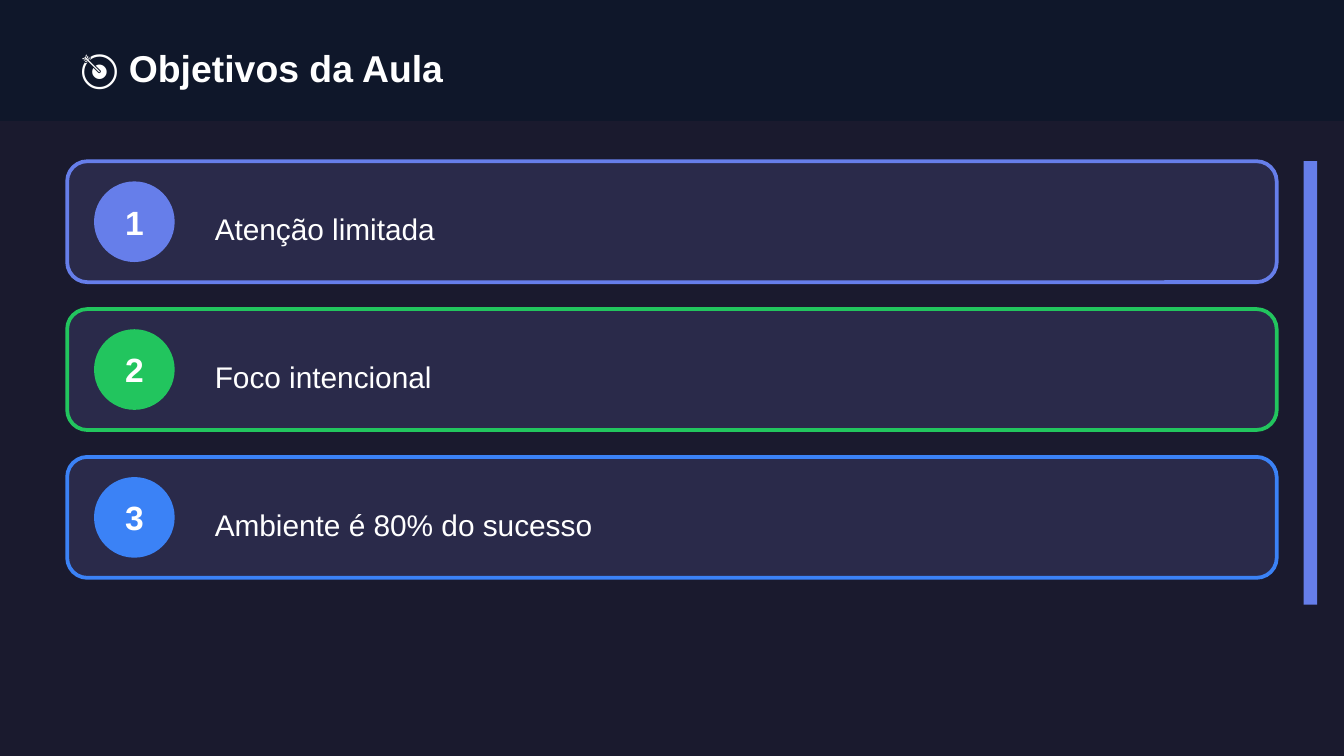
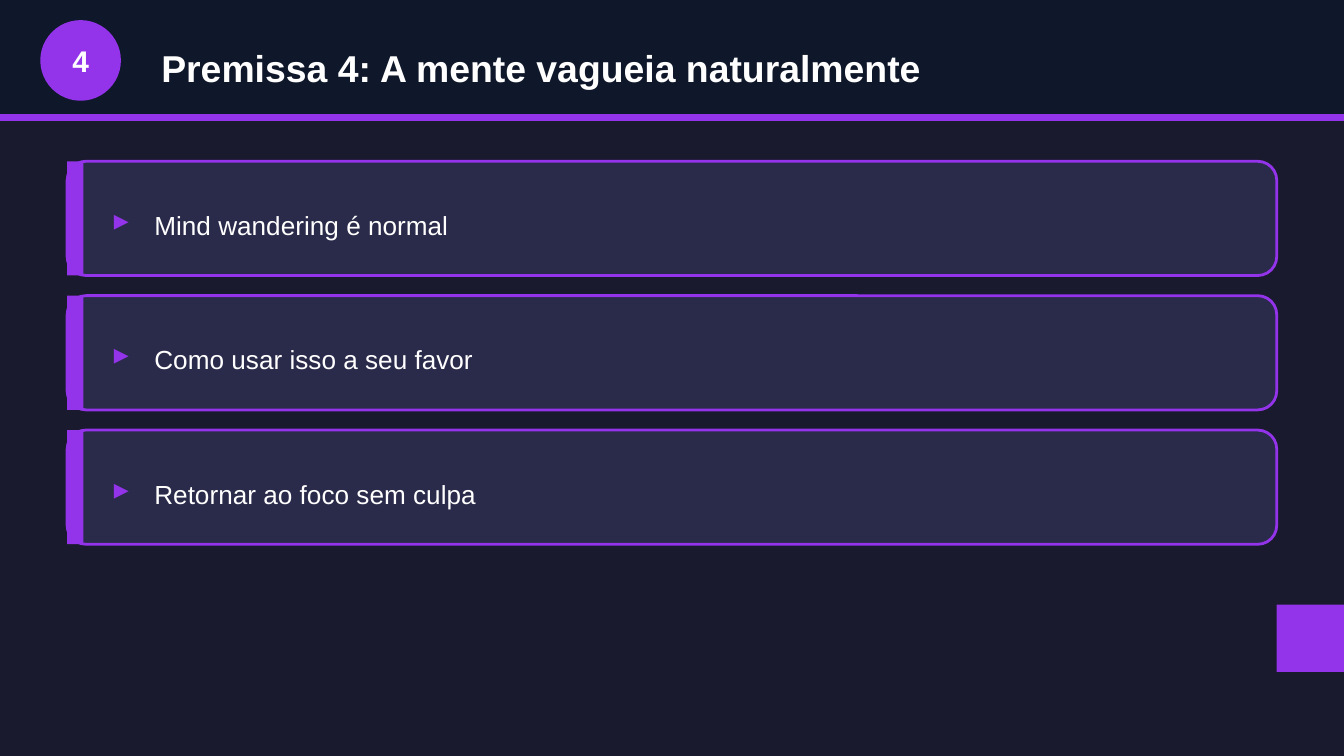
"""Builds two dark lesson slides: the class objectives and one premise."""
import pptx
import pptx.dml.color
import pptx.enum.shapes
import pptx.enum.text
import pptx.util

Inches = pptx.util.Inches
Shape = pptx.enum.shapes.MSO_SHAPE
Align = pptx.enum.text.PP_ALIGN

FONT = "Arial"
BACKGROUND, BAND, CARD, WHITE = "1A1A2E", "0F172A", "2A2A4A", "FFFFFF"
INDIGO, GREEN, BLUE, PURPLE = "667EEA", "22C55E", "3B82F6", "9333EA"

PAGE_WIDTH = 10
PAGE_HEIGHT = PAGE_WIDTH * 9 / 16
CARD_LEFT, CARD_TOP, CARD_WIDTH = 0.5, 1.2, 9
BADGE_SIZE = 0.6

OBJECTIVES_TITLE = "🎯 Objetivos da Aula"
OBJECTIVES = [
    ("Atenção limitada", INDIGO),
    ("Foco intencional", GREEN),
    ("Ambiente é 80% do sucesso", BLUE),
]
PREMISE_NUMBER = 4
PREMISE_TITLE = "Premissa 4: A mente vagueia naturalmente"
PREMISE_POINTS = [
    "Mind wandering é normal",
    "Como usar isso a seu favor",
    "Retornar ao foco sem culpa",
]


def color(value):
    return pptx.dml.color.RGBColor.from_string(value)


def lengths(*values):
    return [Inches(value) for value in values]


def add_block(page, kind, left, top, width, height, fill, line=None, weight=0):
    block = page.shapes.add_shape(kind, *lengths(left, top, width, height))
    block.shadow.inherit = False
    block.fill.solid()
    block.fill.fore_color.rgb = color(fill)
    if line:
        block.line.color.rgb = color(line)
        block.line.width = pptx.util.Pt(weight)
    else:
        block.line.fill.background()
    return block


def write(box, text, size, ink=WHITE, bold=False, align=Align.LEFT):
    frame = box.text_frame
    frame.word_wrap = True
    frame.auto_size = pptx.enum.text.MSO_AUTO_SIZE.NONE
    frame.vertical_anchor = pptx.enum.text.MSO_ANCHOR.MIDDLE
    para = frame.paragraphs[0]
    para.alignment = align
    span = para.add_run()
    span.text = text
    span.font.name = FONT
    span.font.size = pptx.util.Pt(size)
    span.font.bold = bold
    span.font.color.rgb = color(ink)


def add_text(page, left, top, width, height, text, size, **style):
    box = page.shapes.add_textbox(*lengths(left, top, width, height))
    write(box, text, size, **style)


def add_badge(page, left, top, number, size, fill):
    add_block(page, Shape.OVAL, left, top, BADGE_SIZE, BADGE_SIZE, fill)
    add_text(page, left, top + 0.1, BADGE_SIZE, 0.4, str(number), size,
             bold=True, align=Align.CENTER)


def add_card(page, top, height, line, weight):
    add_block(page, Shape.ROUNDED_RECTANGLE, CARD_LEFT, top, CARD_WIDTH, height,
              CARD, line, weight)


def add_page(deck, title, left, width):
    page = deck.slides.add_slide(deck.slide_layouts.get_by_name("Title Only"))
    band = add_block(page, Shape.RECTANGLE, 0, 0, PAGE_WIDTH, 0.9, BAND)
    heading = page.shapes.title
    heading.left, heading.top, heading.width, heading.height = lengths(
        left, 0.25, width, 0.5)
    write(heading, title, 20, bold=True)
    band._element.addnext(heading._element)
    return page


def build_objectives(deck):
    page = add_page(deck, OBJECTIVES_TITLE, 0.5, 9)
    pitch = 1.1
    for index, (text, accent) in enumerate(OBJECTIVES):
        top = CARD_TOP + index * pitch
        add_card(page, top, 0.9, accent, 2)
        add_badge(page, 0.7, top + 0.15, index + 1, 18, accent)
        add_text(page, 1.5, top + 0.25, 7.8, 0.5, text, 16)
    add_block(page, Shape.RECTANGLE, 9.7, CARD_TOP, 0.1, pitch * len(OBJECTIVES), INDIGO)


def build_premise(deck):
    page = add_page(deck, PREMISE_TITLE, 1.1, 8.5)
    add_block(page, Shape.RECTANGLE, 0, 0.85, PAGE_WIDTH, 0.05, PURPLE)
    add_badge(page, 0.3, 0.15, PREMISE_NUMBER, 16, PURPLE)
    height = 0.85
    for index, text in enumerate(PREMISE_POINTS):
        top = CARD_TOP + index
        add_card(page, top, height, PURPLE, 1.5)
        add_block(page, Shape.RECTANGLE, CARD_LEFT, top, 0.12, height, PURPLE)
        add_text(page, 0.75, top + 0.25, 0.3, 0.35, "▸", 16, ink=PURPLE, bold=True)
        add_text(page, 1.05, top + 0.25, 8.2, 0.45, text, 14)
    add_block(page, Shape.RECTANGLE, 9.5, 4.5, 0.5, 0.5, PURPLE)


def main():
    deck = pptx.Presentation()
    deck.slide_width, deck.slide_height = lengths(PAGE_WIDTH, PAGE_HEIGHT)
    backdrop = deck.slide_master.background.fill
    backdrop.solid()
    backdrop.fore_color.rgb = color(BACKGROUND)
    build_objectives(deck)
    build_premise(deck)
    deck.save("out.pptx")


if __name__ == "__main__":
    main()
